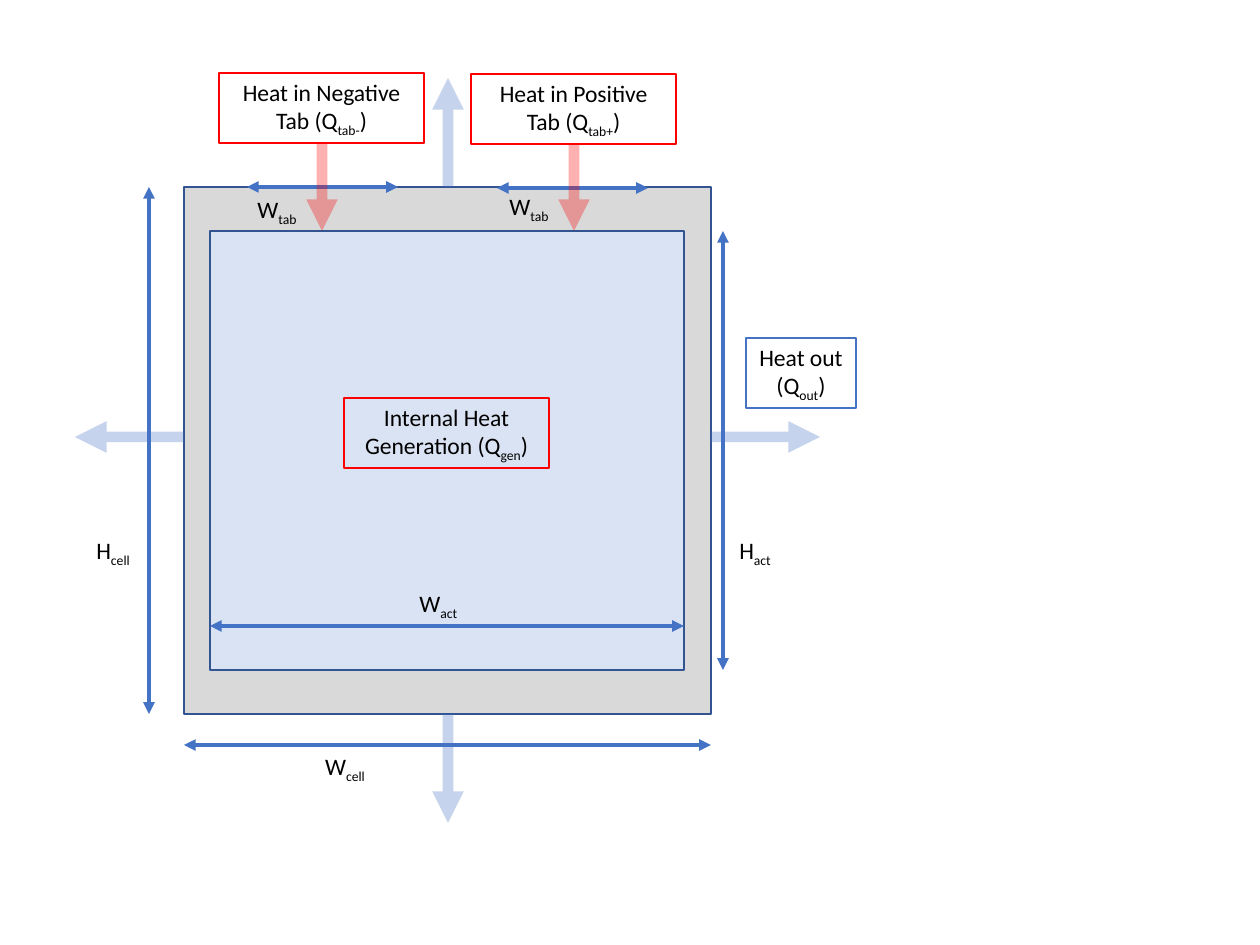
from lxml import etree
from pptx import Presentation
from pptx.dml.color import RGBColor
from pptx.enum.shapes import MSO_CONNECTOR, MSO_SHAPE
from pptx.enum.text import MSO_ANCHOR, PP_ALIGN
from pptx.oxml.ns import qn
from pptx.util import Emu, Pt

RECTANGLE, STRAIGHT = MSO_SHAPE.RECTANGLE, MSO_CONNECTOR.STRAIGHT
LEFT, CENTER = PP_ALIGN.LEFT, PP_ALIGN.CENTER
TOP, MIDDLE = MSO_ANCHOR.TOP, MSO_ANCHOR.MIDDLE
EMU_PER_PX = 914400 / 126
BLUE, RED, OUTLINE = "4472C4", "FF0000", "325491"
CELL_FILL, ACTIVE_FILL = "D9D9D9", "DAE3F3"


def px(value):
    return Emu(round(value * EMU_PER_PX))


def color(value):
    return RGBColor.from_string(value)


def add_text(shape, lines, align=CENTER, anchor=TOP):
    """Each line lists its runs; every second run is a subscript."""
    frame = shape.text_frame
    frame.word_wrap = True
    frame.vertical_anchor = anchor
    for number, runs in enumerate(lines):
        paragraph = frame.add_paragraph() if number else frame.paragraphs[0]
        paragraph.alignment = align
        for position, text in enumerate(runs):
            run = paragraph.add_run()
            run.text = text
            run.font.name = "Calibri"
            run.font.size = Pt(13.5)
            run.font.color.rgb = color("000000")
            if position % 2:
                run.font._element.set("baseline", "-25000")


def add_rectangle(slide, box, line, width, fill=None):
    shape = slide.shapes.add_shape(RECTANGLE, *map(px, box))
    shape.shadow.inherit = False
    if fill:
        shape.fill.solid()
        shape.fill.fore_color.rgb = color(fill)
    else:
        shape.fill.background()
    shape.line.color.rgb = color(line)
    shape.line.width = Pt(width)
    return shape


def add_arrow(slide, start, end, line, width, ends, alpha=None):
    connector = slide.shapes.add_connector(STRAIGHT, *map(px, start + end))
    connector.line.color.rgb = color(line)
    connector.line.width = Pt(width)
    properties = connector._element.spPr
    if alpha:
        fill = properties.find(".//" + qn("a:srgbClr"))
        etree.SubElement(fill, qn("a:alpha"), val=str(alpha * 1000))
    for name in ends:
        etree.SubElement(properties.find(qn("a:ln")), qn(name), type="triangle")
    etree.SubElement(properties, qn("a:effectLst"))


def add_dimension(slide, start, end):
    add_arrow(slide, start, end, BLUE, 2.25, ("a:headEnd", "a:tailEnd"))


def add_heat_arrow(slide, start, end, line):
    add_arrow(slide, start, end, line, 6, ("a:tailEnd",), 31)


def add_label(slide, box, runs, align):
    add_text(slide.shapes.add_textbox(*map(px, box)), [runs], align)


def add_heat_box(slide, box, lines, line=RED):
    add_text(add_rectangle(slide, box, line, 0.75), lines, anchor=MIDDLE)


def draw_cell(slide, cell, active):
    add_rectangle(slide, cell, OUTLINE, 1, CELL_FILL)
    add_rectangle(slide, active, OUTLINE, 1, ACTIVE_FILL)


def draw_dimensions(slide, cell, active):
    left, top, width, height = cell
    inner_left, inner_top, inner_width, inner_height = active
    right, bottom = left + width, top + height
    inner_right, inner_bottom = inner_left + inner_width, inner_top + inner_height

    # Dimension arrows
    add_dimension(slide, (right + 12, inner_top), (right + 12, inner_bottom))
    add_dimension(slide, (left - 35, top), (left - 35, bottom))
    add_dimension(slide, (right, bottom + 31), (left, bottom + 31))
    add_dimension(slide, (inner_right, inner_bottom - 44), (inner_left, inner_bottom - 44))
    for tab_left, tab_top in ((left + 63, top), (left + 313, top + 1)):
        add_dimension(slide, (tab_left + 151, tab_top), (tab_left, tab_top))

    # Dimension labels
    for x, y, label_width, symbol, subscript, align in (
        (306, -1, 78, "W", "tab", CENTER),
        (54, 2, 78, "W", "tab", CENTER),
        (543, 343, 66, "H", "act", LEFT),
        (-100, 343, 66, "H", "cell", LEFT),
        (223, 396, 66, "W", "act", LEFT),
        (120, 559, 82, "W", "cell", CENTER),
    ):
        add_label(slide, (left + x, top + y, label_width, 42), (symbol, subscript), align)


def draw_heat_sources(slide, cell, active):
    left, top = cell[:2]
    add_heat_box(slide, (left + 160, top + 211, 205, 70),
                 [("Internal Heat Generation (Q", "gen", ")")])
    for x, y, name, sign in ((35, -114, "Negative", "-"), (287, -113, "Positive", "+")):
        box_left, box_top, middle = left + x, top + y, left + x + 103
        add_heat_box(slide, (box_left, box_top, 205, 70),
                     [(f"Heat in {name} Tab (Q", f"tab{sign}", ")")])
        add_heat_arrow(slide, (middle, box_top + 70), (middle, active[1]), RED)


def draw_heat_losses(slide, cell):
    left, top, width, height = cell
    right, bottom = left + width, top + height
    middle_x, middle_y, length = left + 264, top + 250, 109
    for start, end in (
        ((right, middle_y), (right + length, middle_y)),
        ((left, middle_y), (left - length, middle_y)),
        ((middle_x, bottom), (middle_x, bottom + length)),
        ((middle_x, top), (middle_x, top - length)),
    ):
        add_heat_arrow(slide, start, end, BLUE)
    add_heat_box(slide, (right + 35, top + 151, 110, 70),
                 [("Heat out",), ("(Q", "out", ")")], BLUE)


def main():
    presentation = Presentation()
    presentation.slide_width, presentation.slide_height = px(1260), px(945)
    slide = presentation.slides.add_slide(presentation.slide_layouts[6])
    cell, active = (184, 187, 527, 527), (210, 231, 474, 439)
    draw_cell(slide, cell, active)
    draw_dimensions(slide, cell, active)
    draw_heat_sources(slide, cell, active)
    draw_heat_losses(slide, cell)
    presentation.save("out.pptx")


if __name__ == "__main__":
    main()
